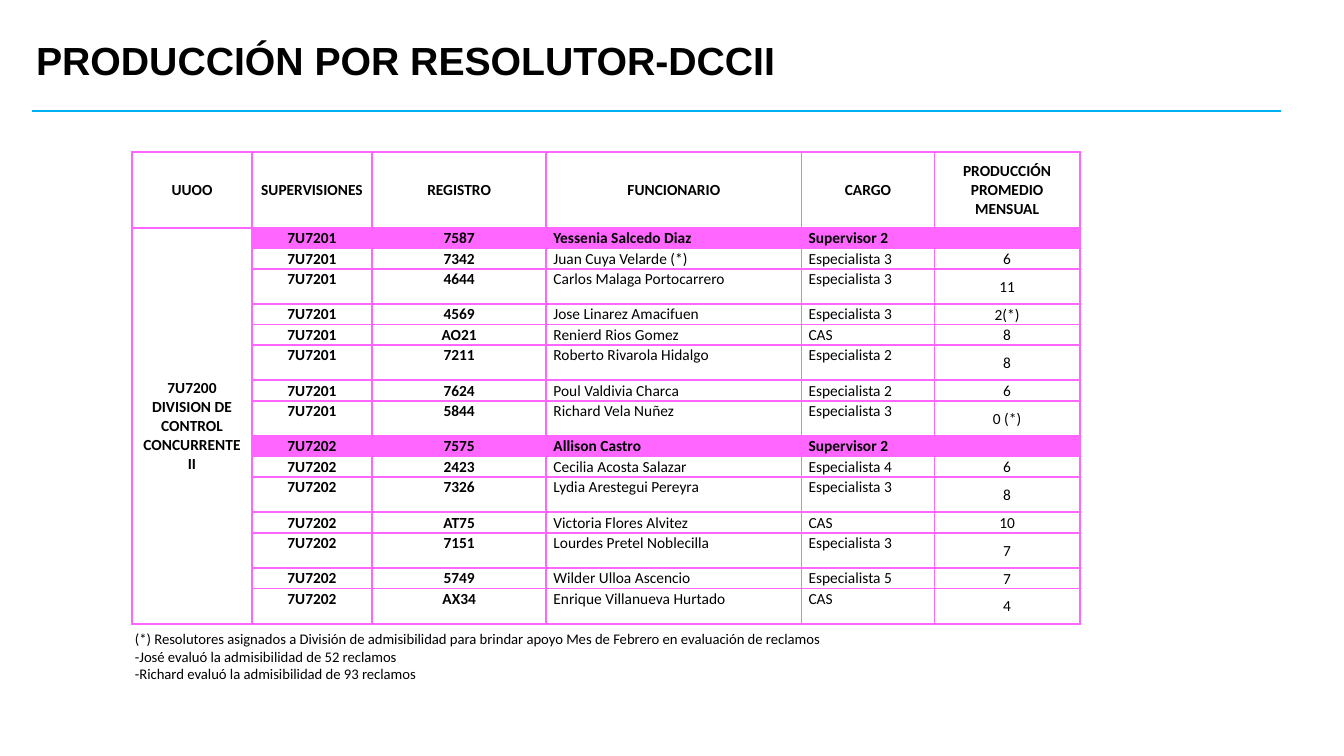
from dataclasses import dataclass

from lxml import etree
from pptx import Presentation
from pptx.dml.color import RGBColor
from pptx.enum.shapes import MSO_CONNECTOR
from pptx.enum.text import MSO_ANCHOR, PP_ALIGN
from pptx.oxml.ns import qn
from pptx.util import Inches, Pt

STRAIGHT = MSO_CONNECTOR.STRAIGHT
TOP, MIDDLE = MSO_ANCHOR.TOP, MSO_ANCHOR.MIDDLE
LEFT, CENTER = PP_ALIGN.LEFT, PP_ALIGN.CENTER


@dataclass(frozen=True)
class Theme:
    """Colours, fonts and type sizes of the slide."""
    ink: str = "000000"
    rule: str = "00B0F0"
    pink: str = "FF66FF"
    heading: str = "Arial"
    body: str = "Calibri"
    title_size: float = 28
    table_size: float = 11
    note_size: float = 10.5
    line_width: float = 1.5


THEME = Theme()
TITLE = "PRODUCCIÓN POR RESOLUTOR-DCCII"
HEADERS = ["UUOO", "SUPERVISIONES", "REGISTRO", "FUNCIONARIO", "CARGO",
           "PRODUCCIÓN PROMEDIO MENSUAL"]
DIVISION = "7U7200 DIVISION DE CONTROL CONCURRENTE II"
STAFF = [
    ("7U7201", "7587", "Yessenia Salcedo Diaz", "Supervisor 2", ""),
    ("7U7201", "7342", "Juan Cuya Velarde (*)", "Especialista 3", "6"),
    ("7U7201", "4644", "Carlos Malaga Portocarrero", "Especialista 3", "11"),
    ("7U7201", "4569", "Jose Linarez Amacifuen", "Especialista 3", "2(*)"),
    ("7U7201", "AO21", "Renierd Rios Gomez", "CAS", "8"),
    ("7U7201", "7211", "Roberto Rivarola Hidalgo", "Especialista 2", "8"),
    ("7U7201", "7624", "Poul Valdivia Charca", "Especialista 2", "6"),
    ("7U7201", "5844", "Richard Vela Nuñez", "Especialista 3", "0 (*)"),
    ("7U7202", "7575", "Allison Castro", "Supervisor 2", ""),
    ("7U7202", "2423", "Cecilia Acosta Salazar", "Especialista 4", "6"),
    ("7U7202", "7326", "Lydia Arestegui Pereyra", "Especialista 3", "8"),
    ("7U7202", "AT75", "Victoria Flores Alvitez", "CAS", "10"),
    ("7U7202", "7151", "Lourdes Pretel Noblecilla", "Especialista 3", "7"),
    ("7U7202", "5749", "Wilder Ulloa Ascencio", "Especialista 5", "7"),
    ("7U7202", "AX34", "Enrique Villanueva Hurtado", "CAS", "4"),
]
TALL_ROWS = {3, 6, 8, 11, 13, 15}
HEADER_HEIGHT, TALL_HEIGHT = 0.75, 0.35
COLUMN_WIDTHS = [1.19, 1.19, 1.73, 2.53, 1.32, 1.44]
NOTES = [
    "(*) Resolutores asignados a División de admisibilidad para brindar apoyo "
    "Mes de Febrero en evaluación de reclamos",
    "-José evaluó la admisibilidad de 52 reclamos",
    "-Richard evaluó la admisibilidad de 93 reclamos",
]


def add_run(p, text, size, font, bold=False):
    """Add one formatted run to a paragraph."""
    r = p.add_run()
    r.text = text
    r.font.size, r.font.name, r.font.bold = Pt(size), font, bold
    r.font.color.rgb = RGBColor.from_string(THEME.ink)


def add_title(slide, x, y, w, h):
    """Place the slide title and the rule beneath it."""
    tf = slide.shapes.add_textbox(
        Inches(x), Inches(y), Inches(w), Inches(h)).text_frame
    tf.word_wrap = True
    tf.vertical_anchor = MIDDLE
    p = tf.paragraphs[0]
    p.line_spacing = 0.9
    add_run(p, TITLE, THEME.title_size, THEME.heading, True)
    rule_x, rule_y = Inches(x + 0.06), Inches(y + 0.83)
    line = slide.shapes.add_connector(
        STRAIGHT, rule_x, rule_y, rule_x + Inches(12.39), rule_y)
    line.line.color.rgb = RGBColor.from_string(THEME.rule)
    line.line.width = Pt(THEME.line_width)
    etree.SubElement(line._element.spPr, qn("a:effectLst"))


def set_borders(cell):
    """Draw the four borders of a cell ahead of its fill."""
    tc_pr = cell._tc.get_or_add_tcPr()
    for i, side in enumerate(("lnL", "lnR", "lnT", "lnB")):
        ln = etree.Element(qn(f"a:{side}"), w=str(Pt(THEME.line_width)))
        fill = etree.SubElement(ln, qn("a:solidFill"))
        etree.SubElement(fill, qn("a:srgbClr"), val=THEME.pink)
        tc_pr.insert(i, ln)


def fill_cell(cell, text, align, anchor, bold, shaded=False):
    """Write and format one table cell."""
    cell.margin_left = cell.margin_right = Inches(0.07)
    cell.margin_top, cell.margin_bottom = Inches(0.01), 0
    cell.vertical_anchor = anchor
    if shaded:
        cell.fill.solid()
        cell.fill.fore_color.rgb = RGBColor.from_string(THEME.pink)
    else:
        cell.fill.background()
    set_borders(cell)
    p = cell.text_frame.paragraphs[0]
    p.alignment = align
    if text:
        add_run(p, text, THEME.table_size, THEME.body, bold)
    else:
        etree.SubElement(p._p, qn("a:endParaRPr"),
                         sz=str(THEME.table_size * 100))


def add_staff_table(slide, x, y, w, h):
    """Build the production table, one row per staff member."""
    n_rows = len(STAFF) + 1
    table = slide.shapes.add_table(
        n_rows, len(HEADERS), Inches(x), Inches(y), Inches(w), Inches(h)).table
    table.first_row = table.horz_banding = False
    for column, width in zip(table.columns, COLUMN_WIDTHS):
        column.width = Inches(width)
    tall_total = TALL_HEIGHT * len(TALL_ROWS)
    short = (h - HEADER_HEIGHT - tall_total) / (len(STAFF) - len(TALL_ROWS))
    for i, row in enumerate(table.rows):
        row.height = Inches(TALL_HEIGHT if i in TALL_ROWS else short)
    table.rows[0].height = Inches(HEADER_HEIGHT)

    for c, text in enumerate(HEADERS):
        fill_cell(table.cell(0, c), text, CENTER, MIDDLE, True)
    for i, person in enumerate(STAFF, 1):
        fill_cell(table.cell(i, 0), DIVISION if i == 1 else "",
                  CENTER, MIDDLE, True)
        boss = person[3].startswith("Supervisor")
        for c, text in enumerate(person, 1):
            fill_cell(table.cell(i, c), text,
                      LEFT if c in (3, 4) else CENTER,
                      MIDDLE if c == 5 else TOP, boss or c < 3, boss)
    table.cell(1, 0).merge(table.cell(n_rows - 1, 0))


def add_notes(slide, x, y, w, h):
    """Place the footnotes under the table."""
    tf = slide.shapes.add_textbox(
        Inches(x), Inches(y), Inches(w), Inches(h)).text_frame
    tf.word_wrap = True
    for i, text in enumerate(NOTES):
        p = tf.add_paragraph() if i else tf.paragraphs[0]
        add_run(p, text, THEME.note_size, THEME.body)


def main():
    """Build and save the slide."""
    prs = Presentation()
    prs.slide_width, prs.slide_height = Inches(13.33), Inches(7.5)
    slide = prs.slides.add_slide(prs.slide_layouts[6])
    add_title(slide, 0.26, 0.27, 11.5, 0.7)
    add_staff_table(slide, 1.31, 1.51, 9.4, 4.68)
    add_notes(slide, 1.24, 6.2, 10.16, 0.81)
    prs.save("out.pptx")


if __name__ == "__main__":
    main()
